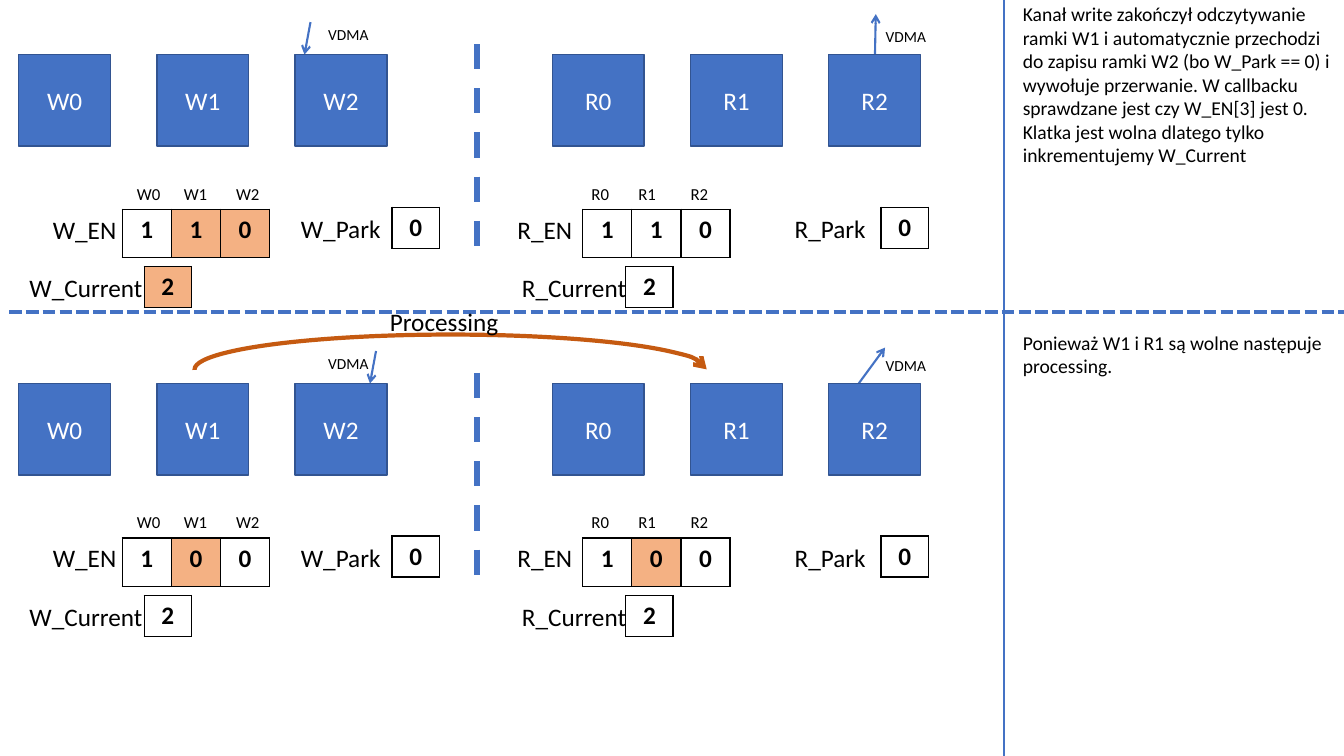
from lxml import etree
from pptx import Presentation
from pptx.dml.color import RGBColor
from pptx.enum.dml import MSO_LINE
from pptx.enum.shapes import MSO_CONNECTOR, MSO_SHAPE
from pptx.enum.text import MSO_ANCHOR, PP_ALIGN
from pptx.oxml.ns import qn
from pptx.util import Pt

RECTANGLE, ARC = MSO_SHAPE.RECTANGLE, MSO_SHAPE.ARC
STRAIGHT = MSO_CONNECTOR.STRAIGHT
DASH, SHORT_DASH = MSO_LINE.DASH, MSO_LINE.SQUARE_DOT
LEFT, CENTER = PP_ALIGN.LEFT, PP_ALIGN.CENTER
MIDDLE = MSO_ANCHOR.MIDDLE

THEME = {
    "font": "Calibri",
    "blue": RGBColor(0x44, 0x72, 0xC4),
    "blue_edge": RGBColor(0x32, 0x54, 0x91),
    "orange": RGBColor(0xC5, 0x5A, 0x11),
    "highlight": RGBColor(0xF4, 0xB1, 0x83),
    "white": RGBColor(0xFF, 0xFF, 0xFF),
    "black": RGBColor(0, 0, 0),
    "body": 18,
    "note": 14,
    "tag": 12,
    "small": 11,
}

STATE_PITCH = 234.9
BOX_SIZE, BOX_PITCH, BOX_TOP = 65.5, 98.7, 38.9
TAG_OFFSETS = (0, 33.5, 70.8)
BIT_WIDTH, BIT_HEIGHT = 35.1, 34.8
VALUE_WIDTH, VALUE_HEIGHT = 33.8, 29.3
ENABLE_TOP, PARK_TOP, CURRENT_TOP = 149.4, 148, 190.4

SIDES = [
    {"prefix": "W", "boxes": 13.4, "tags": 90.7, "enable": 87.3, "park": 280, "current": 103,
     "labels": {"EN": (30.2, 60.5), "Park": (207.4, 72), "Current": (13.5, 95.8)}},
    {"prefix": "R", "boxes": 394.6, "tags": 415.4, "enable": 416.2, "park": 629.3, "current": 447,
     "labels": {"EN": (362.2, 54), "Park": (560.2, 65.5), "Current": (365, 90)}},
]
LABEL_TOPS = {"EN": 149.2, "Park": 148.7, "Current": 190.9}

STATES = [
    {"W": {"bits": "110", "changed_bits": (1, 2), "changed_current": (0,)},
     "R": {"bits": "110", "changed_bits": (), "changed_current": ()},
     "arrows": [(221.8, 15.8, 217.5, 39), (625, 39, 625.6, 10.1)],
     "note": "Kanał write zakończył odczytywanie ramki W1 i automatycznie przechodzi do zapisu "
             "ramki W2 (bo W_Park == 0) i wywołuje przerwanie. W callbacku sprawdzane jest czy "
             "W_EN[3] jest 0. Klatka jest wolna dlatego tylko inkrementujemy W_Current"},
    {"W": {"bits": "100", "changed_bits": (1,), "changed_current": ()},
     "R": {"bits": "100", "changed_bits": (1,), "changed_current": ()},
     "arrows": [(268.6, 15.8, 264.3, 39), (613.4, 39, 632.2, 13.4)],
     "note": "Ponieważ W1 i R1 są wolne następuje processing."},
]


def format_text(text_frame, size, color, alignment, bold=False):
    paragraph = text_frame.paragraphs[0]
    paragraph.alignment = alignment
    font = paragraph.runs[0].font
    font.name = THEME["font"]
    font.size = Pt(size)
    font.bold = bold
    font.color.rgb = color


def format_line(shape, color, width, dash=None, arrow=False):
    shape.line.color.rgb = color
    shape.line.width = Pt(width)
    if dash:
        shape.line.dash_style = dash
    if arrow:
        etree.SubElement(shape.line._ln, qn("a:tailEnd"), type="arrow")


presentation = Presentation()
presentation.slide_width = Pt(960)
presentation.slide_height = Pt(540)
slide = presentation.slides.add_slide(presentation.slide_layouts[6])
shapes = slide.shapes

lines = [
    (717.1, 0, 717.1, 540, 1.5, None, False),
    (6.5, 223, 960, 223, 3, SHORT_DASH, False),
]
boxes, labels, grids = [], [], []

for state_index, state in enumerate(STATES):
    top = state_index * STATE_PITCH
    lines.append((340.6, top + 31.5, 340.6, top + 178, 4.5, DASH, False))
    for start_x, start_y, end_x, end_y in state["arrows"]:
        lines.append((start_x, top + start_y, end_x, top + end_y, 1.5, None, True))
    labels.append(("VDMA", 227.4, top + 14.5, 44, 20.9, "small", LEFT, False))
    labels.append(("VDMA", 625.6, top + 15.8, 44, 20.9, "small", LEFT, False))
    labels.append((state["note"], 723.5, top - 2.2, 236.2, 41 if state_index else 126,
                   "note", LEFT, True))

    for side in SIDES:
        prefix = side["prefix"]
        values = state[prefix]
        for index, offset in enumerate(TAG_OFFSETS):
            name = f"{prefix}{index}"
            boxes.append((name, side["boxes"] + index * BOX_PITCH, top + BOX_TOP))
            labels.append((name, side["tags"] + offset, top + 127.4, 39.6, 21.8, "tag", LEFT, False))
        for name, (left, width) in side["labels"].items():
            labels.append((f"{prefix}_{name}", left, top + LABEL_TOPS[name], width, 29.1,
                           "body", CENTER, False))
        grids += [
            (values["bits"], values["changed_bits"], side["enable"], top + ENABLE_TOP,
             BIT_WIDTH, BIT_HEIGHT),
            ("0", (), side["park"], top + PARK_TOP, VALUE_WIDTH, VALUE_HEIGHT),
            ("2", values["changed_current"], side["current"], top + CURRENT_TOP,
             VALUE_WIDTH, VALUE_HEIGHT),
        ]

labels.append(("Processing", 271.4, 215.4, 92.9, 29.1, "body", LEFT, False))

for start_x, start_y, end_x, end_y, width, dash, arrow in lines:
    connector = shapes.add_connector(STRAIGHT, Pt(start_x), Pt(start_y), Pt(end_x), Pt(end_y))
    format_line(connector, THEME["blue"], width, dash, arrow)
    etree.SubElement(connector._element.spPr, qn("a:effectLst"))

for name, left, top in boxes:
    box = shapes.add_shape(RECTANGLE, Pt(left), Pt(top), Pt(BOX_SIZE), Pt(BOX_SIZE))
    box.shadow.inherit = False
    box.fill.solid()
    box.fill.fore_color.rgb = THEME["blue"]
    format_line(box, THEME["blue_edge"], 1)
    box.text_frame.text = name
    box.text_frame.vertical_anchor = MIDDLE
    format_text(box.text_frame, THEME["body"], THEME["white"], CENTER)

processing_arc = shapes.add_shape(ARC, Pt(139), Pt(239), Pt(365.8), Pt(49.7))
processing_arc.adjustments[0] = 107.93
processing_arc.adjustments[1] = 0
processing_arc.shadow.inherit = False
processing_arc.fill.background()
format_line(processing_arc, THEME["orange"], 3, arrow=True)

for text, left, top, width, height, size, alignment, wrap in labels:
    label = shapes.add_textbox(Pt(left), Pt(top), Pt(width), Pt(height))
    label.text_frame.text = text
    label.text_frame.word_wrap = wrap
    format_text(label.text_frame, THEME[size], THEME["black"], alignment)

for digits, changed, left, top, width, height in grids:
    table = shapes.add_table(1, len(digits), Pt(left), Pt(top),
                             Pt(width * len(digits)), Pt(height)).table
    table.first_row = False
    table.horz_banding = False
    for column, digit in enumerate(digits):
        cell = table.cell(0, column)
        cell.text_frame.text = digit
        format_text(cell.text_frame, THEME["body"], THEME["black"], CENTER, bold=True)
        properties = cell._tc.get_or_add_tcPr()
        for edge in ("a:lnL", "a:lnR", "a:lnT", "a:lnB"):
            border = etree.SubElement(properties, qn(edge), w=str(Pt(1)))
            border_fill = etree.SubElement(border, qn("a:solidFill"))
            etree.SubElement(border_fill, qn("a:srgbClr"), val=str(THEME["black"]))
        cell.fill.solid()
        cell.fill.fore_color.rgb = THEME["highlight" if column in changed else "white"]

presentation.save("out.pptx")
